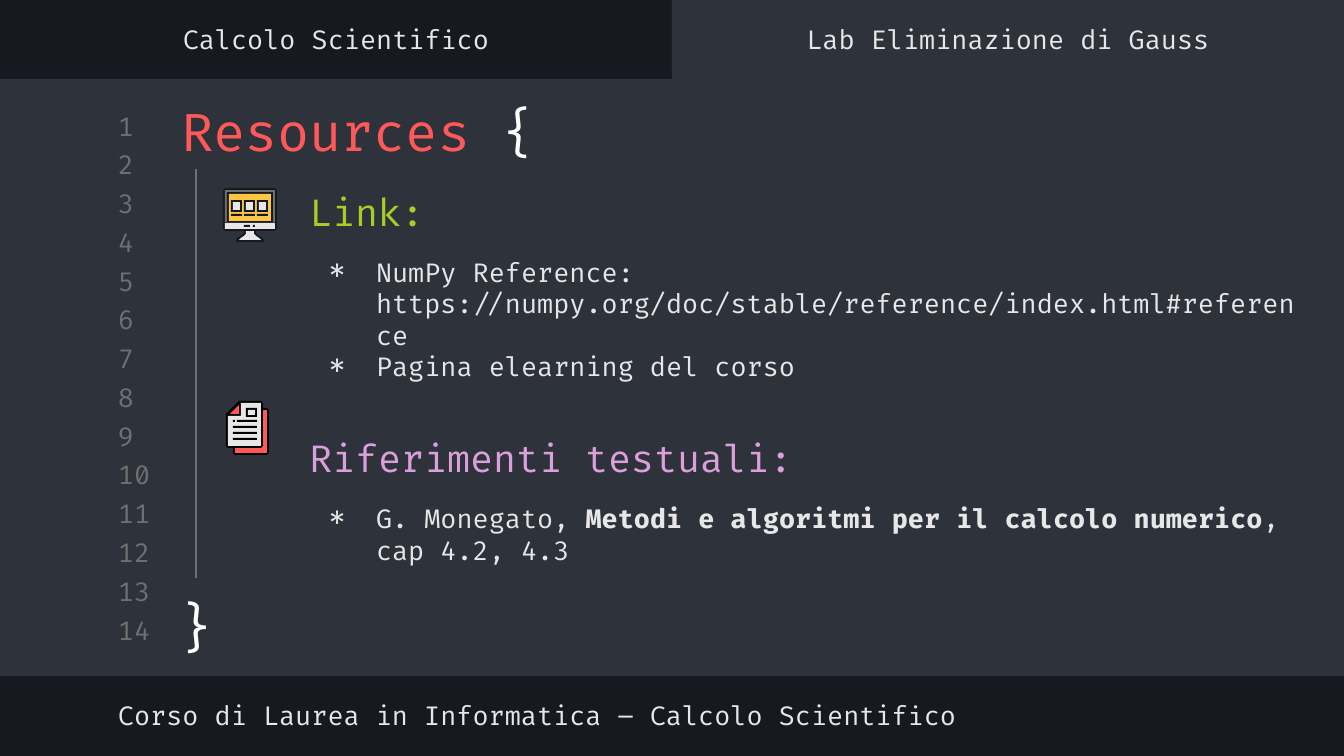
from lxml.etree import SubElement
from pptx import Presentation
from pptx.dml.color import RGBColor
from pptx.enum.shapes import MSO_CONNECTOR as CON, MSO_SHAPE as SH
from pptx.enum.text import MSO_ANCHOR as ANC, MSO_AUTO_SIZE as FIT, PP_ALIGN as AL
from pptx.oxml.ns import qn
from pptx.util import Pt

PX = 9144000 / 1344
FONT = "Fira Code"
COLORS = {
    "dark": "16191F", "panel": "2E323B", "grey": "707070", "light": "E7E7E7",
    "white": "FFFFFF", "red": "FF5858", "green": "A5CF27", "pink": "DBA0DB",
    "yellow": "FCC642", "black": "000000",
}


def px(n):
    """Turn pixels into EMU."""
    return round(n * PX)


def rgb(name):
    """Look up a colour by name."""
    return RGBColor.from_string(COLORS[name])


def paint(sp, color):
    """Give a shape a flat fill with no line or shadow."""
    sp.shadow.inherit = False
    sp.fill.solid()
    sp.fill.fore_color.rgb = rgb(color)
    sp.line.fill.background()


def add_block(shapes, kind, color, x, y, w, h):
    """Add a flat preset shape."""
    sp = shapes.add_shape(kind, px(x), px(y), px(w), px(h))
    if kind == SH.ROUNDED_RECTANGLE:
        sp.adjustments[0] = 0.08
    paint(sp, color)


def add_polygon(shapes, color, x, y, points):
    """Add a flat polygon whose points are relative to x, y."""
    fb = shapes.build_freeform(*points[0], scale=PX)
    fb.add_line_segments(points[1:])
    paint(fb.convert_to_shape(px(x), px(y)), color)


def add_run(p, text, size, color, bold=False):
    """Append a formatted run."""
    r = p.add_run()
    r.text = text
    r.font.name, r.font.size, r.font.bold = FONT, Pt(size), bold
    r.font.color.rgb = rgb(color)


def set_frame(tf, anchor=ANC.TOP):
    """Apply the common insets, wrapping and anchor."""
    tf.word_wrap, tf.auto_size, tf.vertical_anchor = True, FIT.NONE, anchor
    tf.margin_left = tf.margin_right = tf.margin_top = tf.margin_bottom = px(13)


def add_text(shapes, box, text, size, color, align=AL.LEFT, anchor=ANC.MIDDLE):
    """Add a text box with one line of text."""
    tf = shapes.add_textbox(*map(px, box)).text_frame
    set_frame(tf, anchor)
    p = tf.paragraphs[0]
    p.alignment = align
    add_run(p, text, size, color)


def set_bullet(p):
    """Give a paragraph a hanging asterisk bullet."""
    pPr = p._p.get_or_add_pPr()
    pPr.set("marL", str(px(67)))
    pPr.set("indent", str(px(-47)))
    SubElement(SubElement(pPr, qn("a:buClr")), qn("a:srgbClr"), val=COLORS["light"])
    SubElement(pPr, qn("a:buFont"), typeface=FONT)
    SubElement(pPr, qn("a:buChar"), char="∗")


def add_header(s, x, y, w, h):
    """Place the two tab captions side by side."""
    for i, text in enumerate(["Calcolo Scientifico", "Lab Eliminazione di Gauss"]):
        add_text(s.shapes, (x + i * w // 2, y, w // 2, h), text, 14, "light", AL.CENTER)


def add_line_numbers(s, x, y, w, h, count=14):
    """Spread the editor line numbers down the box."""
    row = 32
    for i in range(count):
        top = y + i * (h - row) // (count - 1)
        add_text(s.shapes, (x, top, w, row), str(i + 1), 14, "grey")


def add_title(s, x, y, w, h):
    """Move and format the title placeholder in front of the panels."""
    sp = s.shapes.title
    sp.left, sp.top, sp.width, sp.height = map(px, (x, y, w, h))
    sp.element.getparent().append(sp.element)
    set_frame(sp.text_frame)
    p = sp.text_frame.paragraphs[0]
    p.alignment = AL.LEFT
    add_run(p, "Resources ", 28, "red")
    add_run(p, "{", 28, "white")


def add_body(s, x, y, w, h):
    """Place the headings and their bulleted references."""
    rows = [
        (0, False, [("Link:", 20, "green")]),
        (12, True, [("NumPy Reference: https://numpy.org/doc/stable/reference/"
                     "index.html#reference", 14, "light")]),
        (0, True, [("Pagina elearning del corso", 14, "light")]),
        (28.8, False, [("Riferimenti testuali:", 20, "pink")]),
        (12, True, [("G. Monegato, ", 14, "light"),
                    ("Metodi e algoritmi per il calcolo numerico", 14, "light", True),
                    (", cap 4.2, 4.3", 14, "light")]),
    ]
    tf = s.shapes.add_textbox(*map(px, (x, y, w, h))).text_frame
    set_frame(tf)
    for i, (before, bullet, runs) in enumerate(rows):
        p = tf.add_paragraph() if i else tf.paragraphs[0]
        p.space_before = Pt(before)
        if bullet:
            set_bullet(p)
        for run in runs:
            add_run(p, *run)


def add_brace(s, x, y, w, h):
    """Place the closing brace under its vertical guide."""
    g = s.shapes.add_group_shape().shapes
    add_text(g, (x, y + h - 90, w, 90), "}", 28, "white", AL.CENTER, ANC.TOP)
    mid = px(x + w // 2 - 1)
    line = g.add_connector(CON.STRAIGHT, mid, px(y), mid, px(y + h - 93))
    line.line.color.rgb = rgb("grey")
    line.line.width = Pt(0.75)
    SubElement(line._element.spPr, qn("a:effectLst"))


def add_monitor(s, x, y):
    """Draw the computer icon."""
    g = s.shapes.add_group_shape().shapes
    add_polygon(g, "dark", x, y, [(21, 42), (33, 42), (33, 45), (36, 48), (40, 50),
                                  (41, 54), (13, 54), (14, 50), (18, 48), (21, 45)])
    add_polygon(g, "light", x, y, [(23, 43), (31, 43), (31, 46), (33, 48), (36, 50),
                                   (38, 52), (16, 52), (18, 50), (21, 48), (23, 46)])
    add_block(g, SH.ROUNDED_RECTANGLE, "dark", x, y, 54, 43)
    for color, l, t, w, h in [("grey", 2, 2, 50, 32), ("dark", 4, 4, 46, 30),
                              ("yellow", 6, 6, 42, 27), ("light", 2, 35, 50, 6),
                              ("dark", 21, 37, 6, 2), ("dark", 30, 37, 2, 2)]:
        add_block(g, SH.RECTANGLE, color, x + l, y + t, w, h)
    for l in (8, 21, 34):
        for color, dx, t, w, h in [("dark", 0, 12, 11, 12), ("light", 2, 14, 7, 8),
                                   ("dark", 0, 26, 11, 2)]:
            add_block(g, SH.RECTANGLE, color, x + l + dx, y + t, w, h)


def add_papers(s, x, y):
    """Draw the documents icon."""
    g = s.shapes.add_group_shape().shapes
    add_block(g, SH.ROUNDED_RECTANGLE, "black", x + 7, y + 7, 36, 47)
    add_block(g, SH.RECTANGLE, "red", x + 9, y + 9, 32, 43)
    add_polygon(g, "black", x, y, [(13, 0), (35, 0), (37, 2), (37, 45),
                                   (35, 47), (2, 47), (0, 45), (0, 13)])
    add_polygon(g, "light", x, y, [(15, 2), (35, 2), (35, 45), (2, 45), (2, 15), (15, 15)])
    add_polygon(g, "red", x, y, [(13, 4), (13, 13), (4, 13)])
    for color, l, t, w, h in [("black", 20, 7, 11, 9), ("light", 22, 9, 7, 5),
                              ("black", 7, 19, 2, 2), ("black", 11, 19, 20, 2),
                              *[("black", 7, t, 24, 2) for t in (25, 31, 37)]]:
        add_block(g, SH.RECTANGLE, color, x + l, y + t, w, h)


def main():
    """Build and save the slide."""
    prs = Presentation()
    prs.slide_width, prs.slide_height = px(1344), px(756)
    s = prs.slides.add_slide(prs.slide_layouts[5])
    s.background.fill.solid()
    s.background.fill.fore_color.rgb = rgb("dark")
    add_block(s.shapes, SH.RECTANGLE, "panel", 0, 79, 1344, 597)
    add_block(s.shapes, SH.RECTANGLE, "panel", 672, 0, 672, 93)
    add_line_numbers(s, 105, 110, 63, 536)
    add_title(s, 168, 86, 1071, 79)
    add_body(s, 296, 176, 1025, 402)
    add_text(s.shapes, (105, 689, 882, 53),
             "Corso di Laurea in Informatica – Calcolo Scientifico", 14, "light")
    add_header(s, 0, 13, 1344, 53)
    add_brace(s, 160, 169, 74, 502)
    add_monitor(s, 223, 188)
    add_papers(s, 226, 401)
    prs.save("out.pptx")


if __name__ == "__main__":
    main()
